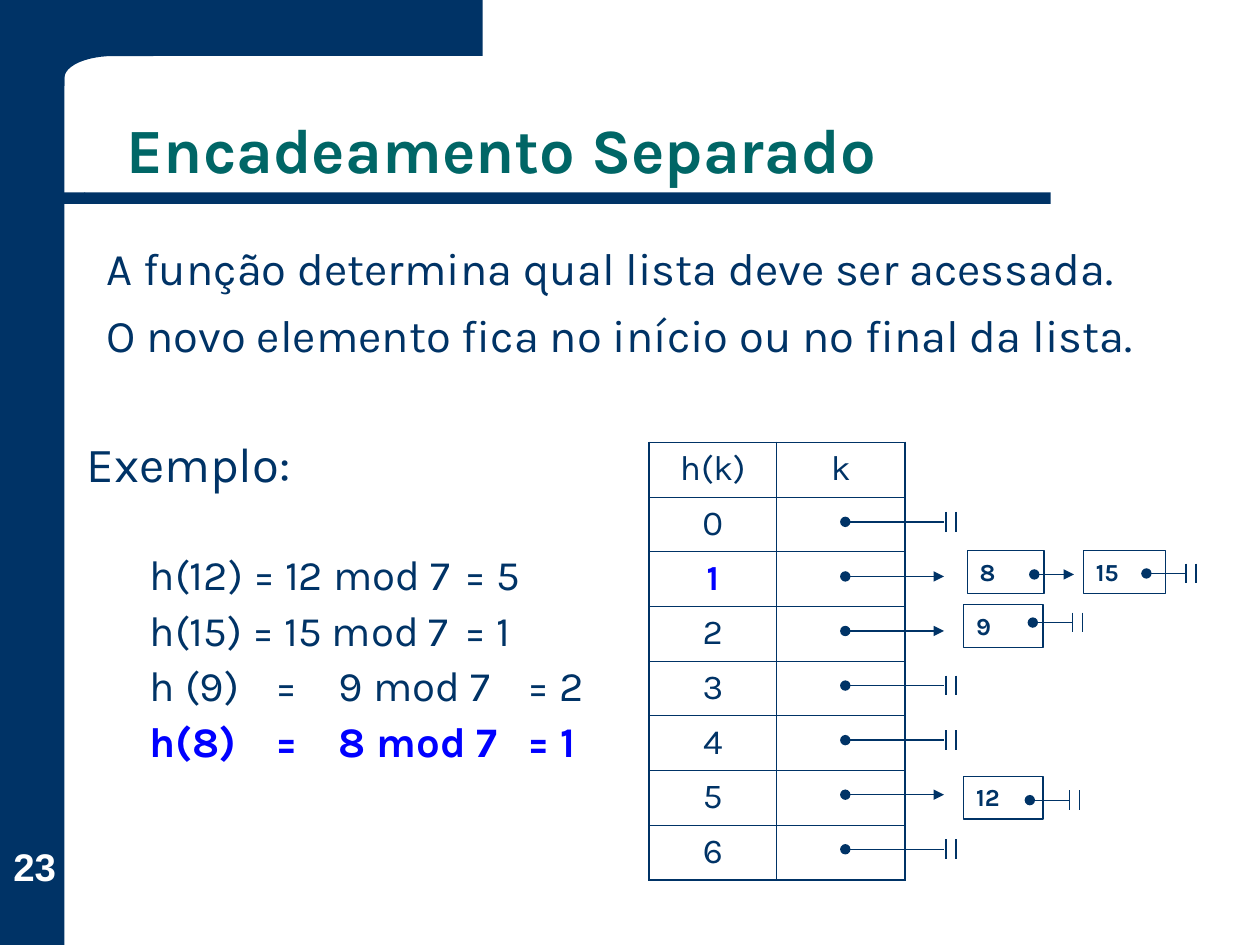
from math import cos, pi, sin

from lxml.etree import SubElement
from pptx import Presentation
from pptx.dml.color import RGBColor
from pptx.enum.shapes import MSO_CONNECTOR, MSO_SHAPE
from pptx.enum.text import MSO_ANCHOR, PP_ALIGN
from pptx.oxml.ns import qn
from pptx.util import Cm, Pt


class Theme:
    navy = RGBColor(0x00, 0x33, 0x66)
    teal = RGBColor(0x00, 0x66, 0x66)
    blue = RGBColor(0x00, 0x00, 0xFF)
    white = RGBColor(0xFF, 0xFF, 0xFF)
    font, number_font = "Karla", "Arial"
    title, heading, body, formula = 36, 28, 25.9, 24
    number, cell, node = 22, 20, 14
    line, outer, inner = 0.75, 1.08, 0.45


presentation = Presentation()
presentation.slide_width, presentation.slide_height = Cm(25.4), Cm(19.05)
slide = presentation.slides.add_slide(presentation.slide_layouts[6])
shapes = slide.shapes


def add_run(paragraph, text, size, color=Theme.navy, bold=False, font=Theme.font):
    run = paragraph.add_run()
    run.text = text
    run.font.name, run.font.size, run.font.bold = font, Pt(size), bold
    run.font.color.rgb = color


def add_line(x1, y1, x2, y2, head=None, tail=None):
    line = shapes.add_connector(MSO_CONNECTOR.STRAIGHT, Cm(x1), Cm(y1), Cm(x2), Cm(y2))
    line.line.color.rgb, line.line.width = Theme.navy, Pt(Theme.line)
    outline = line.line._get_or_add_ln()
    for tag, kind in (("a:headEnd", head), ("a:tailEnd", tail)):
        if kind:
            SubElement(outline, qn(tag), type=kind)
    SubElement(line._element.spPr, qn("a:effectLst"))


# Side bar, corner with a rounded inner edge, and title rule
side_bar = shapes.add_shape(MSO_SHAPE.RECTANGLE, 0, 0, Cm(1.3), Cm(19.05))

steps = 12
arc = [(2.3 - sin(i * pi / 2 / steps), 1.57 - 0.44 * cos(i * pi / 2 / steps))
       for i in range(steps + 1)]
curve_x, curve_y = 2.3, 1.57
arc = [(curve_x - sin(i * pi / 2 / steps), curve_y - 0.44 * cos(i * pi / 2 / steps))
       for i in range(steps + 1)]
outline_points = [(9.73, 0), (9.73, 1.13), *arc, (1.3, 1.73), (0.23, 1.73)]
builder = shapes.build_freeform(Cm(0.23), 0, scale=1.0)
builder.add_line_segments([(Cm(x), Cm(y)) for x, y in outline_points], close=True)
corner = builder.convert_to_shape()

rule = shapes.add_shape(MSO_SHAPE.ROUNDED_RECTANGLE, Cm(1.7), Cm(3.88), Cm(19.48), Cm(0.23))
rule.adjustments[0] = 0
rule_end = shapes.add_shape(MSO_SHAPE.FLOWCHART_DELAY, Cm(0.63), Cm(3.88), Cm(1.09), Cm(0.23))
rule_end._element.spPr.xfrm.set("flipH", "1")

for shape in (side_bar, corner, rule, rule_end):
    shape.shadow.inherit = False
    shape.fill.solid()
    shape.fill.fore_color.rgb = Theme.navy
    shape.line.fill.background()

# Slide number
frame = shapes.add_textbox(Cm(0.08), Cm(16.56), Cm(1.24), Cm(1.37)).text_frame
frame.margin_left = frame.margin_right = frame.margin_top = frame.margin_bottom = 0
frame.word_wrap, frame.vertical_anchor = True, MSO_ANCHOR.BOTTOM
frame.paragraphs[0].alignment = PP_ALIGN.CENTER
add_run(frame.paragraphs[0], "23", Theme.number, Theme.white, True, Theme.number_font)

# Title
frame = shapes.add_textbox(Cm(2.31), Cm(1.12), Cm(21.62), Cm(2.77)).text_frame
frame.word_wrap, frame.vertical_anchor = True, MSO_ANCHOR.BOTTOM
frame.paragraphs[0].line_spacing = 0.9
add_run(frame.paragraphs[0], "Encadeamento Separado", Theme.title, Theme.teal, True)

# Body
frame = shapes.add_textbox(Cm(1.9), Cm(4.72), Cm(23.01), Cm(3.61)).text_frame
frame.word_wrap = True
for i, text in enumerate(("A função determina qual lista deve ser acessada.",
                          "O novo elemento fica no início ou no final da lista.")):
    paragraph = frame.add_paragraph() if i else frame.paragraphs[0]
    paragraph.space_before = Pt(7)
    add_run(paragraph, text, Theme.body)

# Example: heading and formulas aligned on tab stops
frame = shapes.add_textbox(Cm(1.5), Cm(8.74), Cm(10.74), Cm(7.01)).text_frame
frame.word_wrap = True
paragraph = frame.paragraphs[0]
paragraph.line_spacing, paragraph.space_before = 0.9, Pt(7)
add_run(paragraph, "Exemplo:", Theme.heading)
formulas = ["h(12) = 12 mod 7\t= 5", "h(15) = 15 mod 7\t= 1",
            "h (9)\t=\t9 mod 7\t= 2", "h(8)\t=\t8 mod 7\t= 1"]
for i, formula in enumerate(formulas):
    paragraph = frame.add_paragraph()
    paragraph.line_spacing, paragraph.space_before = 0.9, Pt(6 if i else 35)
    properties = paragraph._p.get_or_add_pPr()
    properties.set("marL", "0")
    properties.set("indent", str(Cm(1.27)))
    tab_list = SubElement(properties, qn("a:tabLst"))
    for stop in (3.5, 4.4, 8):
        SubElement(tab_list, qn("a:tab"), pos=str(Cm(stop)), algn="l")
    current = formula == formulas[-1]
    add_run(paragraph, formula, Theme.formula, Theme.blue if current else Theme.navy, current)

# Hash table
table_top, row_height = 8.92, 1.1
keys = ["h(k)", *"0123456"]
table = shapes.add_table(len(keys), 2, Cm(13.08), Cm(table_top), Cm(5.16),
                         Cm(row_height * len(keys))).table
table.first_row = table.horz_banding = False
for column in table.columns:
    column.width = Cm(2.58)
for i, key in enumerate(keys):
    table.rows[i].height = Cm(row_height)
    for j, text in enumerate((key, "" if i else "k")):
        cell = table.cell(i, j)
        outer_sides = {"a:lnL": j == 0, "a:lnR": j == 1,
                       "a:lnT": i == 0, "a:lnB": i == len(keys) - 1}
        for tag, outer in outer_sides.items():
            width = Pt(Theme.outer if outer else Theme.inner)
            border = SubElement(cell._tc.get_or_add_tcPr(), qn(tag), w=str(width))
            fill = SubElement(border, qn("a:solidFill"))
            SubElement(fill, qn("a:srgbClr"), val=str(Theme.navy))
        cell.fill.background()
        paragraph = cell.text_frame.paragraphs[0]
        paragraph.alignment = PP_ALIGN.CENTER
        if text:
            current = text == "1"
            add_run(paragraph, text, Theme.cell, Theme.blue if current else Theme.navy, current)

# Row pointers: an arrow to a list, or a null mark
null_marks = []
for i in range(7):
    y = table_top + row_height * (i + 1) + 0.5
    has_list = i in (1, 2, 5)
    add_line(17.04, y, 19.03, y, "oval", "triangle" if has_list else None)
    if not has_list:
        null_marks.append((19.07, y))

# List nodes: key, left, top, width, pointer start, pointer height, is last
nodes = [("8", 19.5, 11.1, 1.55, 20.85, 11.58, False),
         ("15", 21.84, 11.1, 1.65, 23.11, 11.56, True),
         ("9", 19.43, 12.19, 1.6, 20.82, 12.55, True),
         ("12", 19.43, 15.65, 1.6, 20.76, 16.13, True)]
for key, left, top, width, x, y, is_last in nodes:
    node = shapes.add_shape(MSO_SHAPE.RECTANGLE, Cm(left), Cm(top), Cm(width), Cm(0.86))
    node.shadow.inherit = False
    node.fill.background()
    node.line.color.rgb, node.line.width = Theme.navy, Pt(Theme.line)
    frame = node.text_frame
    frame.word_wrap, frame.vertical_anchor = True, MSO_ANCHOR.TOP
    frame.paragraphs[0].alignment = PP_ALIGN.LEFT
    add_run(frame.paragraphs[0], key, Theme.node, bold=True)
    add_line(x, y, x + 0.8, y, "oval", None if is_last else "triangle")
    if is_last:
        null_marks.append((x + 0.8, y))

# Null marks: two short bars
for x, y in null_marks:
    for bar_x in (x, x + 0.2):
        add_line(bar_x, y - 0.2, bar_x, y + 0.2)

presentation.save("out.pptx")
